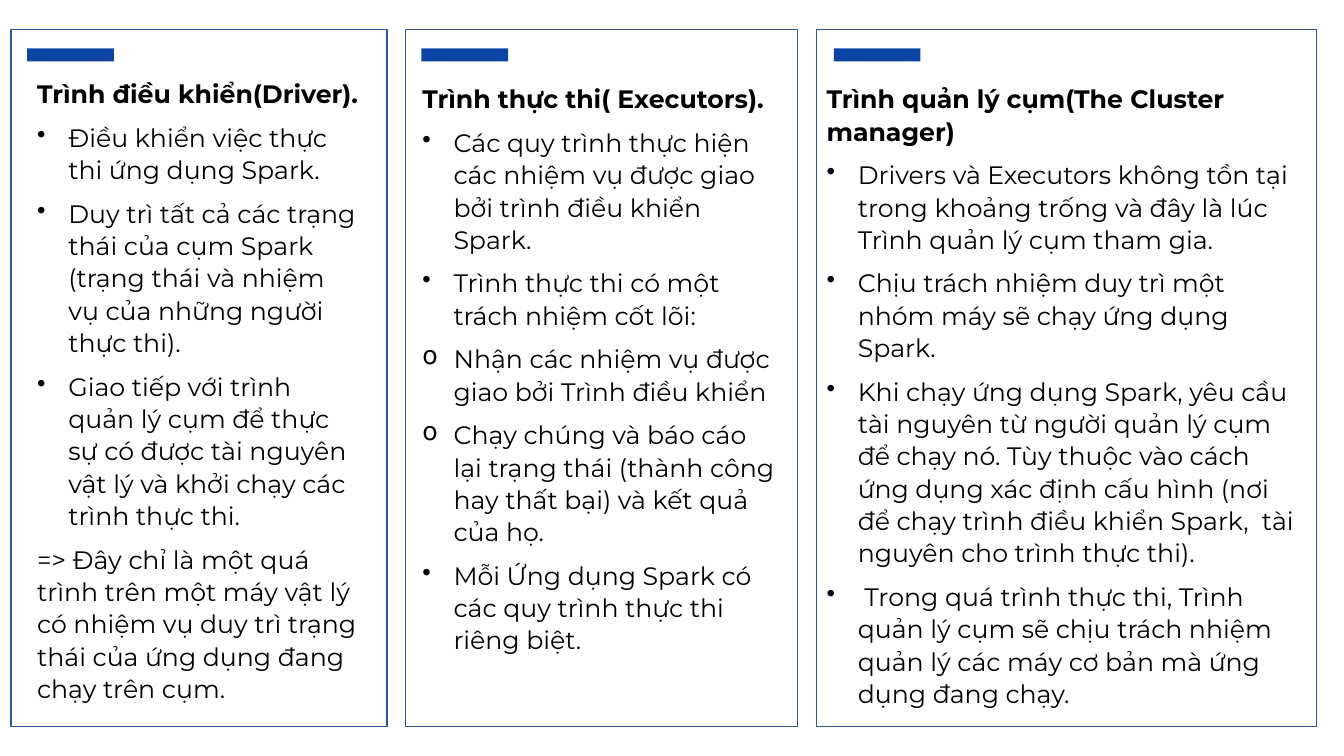
from dataclasses import dataclass

from lxml import etree
from pptx import Presentation
from pptx.dml.color import RGBColor
from pptx.enum.shapes import MSO_SHAPE
from pptx.enum.text import MSO_ANCHOR, MSO_AUTO_SIZE, PP_ALIGN
from pptx.oxml.ns import qn
from pptx.util import Inches, Pt

RECTANGLE = MSO_SHAPE.RECTANGLE
TOP = MSO_ANCHOR.TOP
GROW = MSO_AUTO_SIZE.SHAPE_TO_FIT_TEXT
LEFT = PP_ALIGN.LEFT


@dataclass(frozen=True)
class Theme:
    """Colours, type and spacing of the slide."""
    accent: RGBColor = RGBColor(0x0C, 0x45, 0xA6)
    driver_line: RGBColor = RGBColor(0x2F, 0x55, 0x97)
    line: RGBColor = RGBColor(0x32, 0x54, 0x91)
    ink: RGBColor = RGBColor(0, 0, 0)
    font: str = "Montserrat"
    size: int = 18
    line_spacing: float = 1.07
    space_after: int = 8
    indent: float = 0.31


THEME = Theme()
PANEL_TOP, PANEL_HEIGHT = 0.29, 6.92

DRIVER = [
    ("•", "Điều khiển việc thực thi ứng dụng Spark."),
    ("•", "Duy trì tất cả các trạng thái của cụm Spark (trạng thái và nhiệm vụ "
          "của những người thực thi)."),
    ("•", "Giao tiếp với trình quản lý cụm để thực sự có được tài nguyên vật lý "
          "và khởi chạy các trình thực thi."),
    (None, "=> Đây chỉ là một quá trình trên một máy vật lý có nhiệm vụ duy trì "
           "trạng thái của ứng dụng đang chạy trên cụm."),
]
EXECUTORS = [
    ("•", "Các quy trình thực hiện các nhiệm vụ được giao bởi trình điều khiển Spark."),
    ("•", "Trình thực thi có một trách nhiệm cốt lõi:"),
    ("o", "Nhận các nhiệm vụ được giao bởi Trình điều khiển"),
    ("o", "Chạy chúng và báo cáo lại trạng thái (thành công hay thất bại) "
          "và kết quả của họ."),
    ("•", "Mỗi Ứng dụng Spark có các quy trình thực thi riêng biệt."),
]
CLUSTER_MANAGER = [
    ("•", "Drivers và Executors không tồn tại trong khoảng trống và đây là lúc "
          "Trình quản lý cụm tham gia."),
    ("•", "Chịu trách nhiệm duy trì một nhóm máy sẽ chạy ứng dụng Spark."),
    ("•", "Khi chạy ứng dụng Spark, yêu cầu tài nguyên từ người quản lý cụm để "
          "chạy nó. Tùy thuộc vào cách ứng dụng xác định cấu hình (nơi để chạy "
          "trình điều khiển Spark,  tài nguyên cho trình thực thi)."),
    ("•", " Trong quá trình thực thi, Trình quản lý cụm sẽ chịu trách nhiệm quản "
          "lý các máy cơ bản mà ứng dụng đang chạy."),
]


def add_rectangle(slide, left, top, width, height, fill=None, line=None):
    """Draw a rectangle with an optional fill and outline."""
    rectangle = slide.shapes.add_shape(
        RECTANGLE, Inches(left), Inches(top), Inches(width), Inches(height))
    rectangle.shadow.inherit = False
    if fill is None:
        rectangle.fill.background()
    else:
        rectangle.fill.solid()
        rectangle.fill.fore_color.rgb = fill
    if line is None:
        rectangle.line.fill.background()
    else:
        rectangle.line.color.rgb = line
        rectangle.line.width = Pt(1)


def write_paragraph(paragraph, text, bold=False, bullet=None):
    """Fill one paragraph, with a hanging bullet if one is given."""
    paragraph.alignment = LEFT
    paragraph.line_spacing = THEME.line_spacing
    paragraph.space_after = Pt(THEME.space_after)
    if bullet:
        properties = paragraph._p.get_or_add_pPr()
        properties.set("marL", str(Inches(THEME.indent)))
        properties.set("indent", str(-Inches(THEME.indent)))
        etree.SubElement(properties, qn("a:buChar")).set("char", bullet)
    run = paragraph.add_run()
    run.text = text
    run.font.name = THEME.font
    run.font.size = Pt(THEME.size)
    run.font.bold = bold
    run.font.color.rgb = THEME.ink


def add_component(slide, left, width, heading, points, accent_dx, text_dx,
                  text_dy, text_width, text_height, line=THEME.line):
    """Place one framed component with its accent bar, heading and points."""
    add_rectangle(slide, left + accent_dx, PANEL_TOP + 0.19, 0.86, 0.13,
                  fill=THEME.accent)
    description = slide.shapes.add_textbox(
        Inches(left + text_dx), Inches(PANEL_TOP + text_dy),
        Inches(text_width), Inches(text_height))
    frame = description.text_frame
    frame.word_wrap = True
    frame.auto_size = GROW
    frame.vertical_anchor = TOP
    write_paragraph(frame.paragraphs[0], heading, bold=True)
    for bullet, point in points:
        write_paragraph(frame.add_paragraph(), point, bullet=bullet)
    add_rectangle(slide, left, PANEL_TOP, width, PANEL_HEIGHT, line=line)


def build_components_slide(deck):
    """Set the three Spark components side by side."""
    slide = deck.slides.add_slide(deck.slide_layouts[6])
    add_component(slide, 0.11, 3.73, "Trình điều khiển(Driver).", DRIVER,
                  accent_dx=0.16, text_dx=0.16, text_dy=0.42,
                  text_width=3.4, text_height=6.78, line=THEME.driver_line)
    add_component(slide, 4.02, 3.89, "Trình thực thi( Executors).", EXECUTORS,
                  accent_dx=0.16, text_dx=0.07, text_dy=0.47,
                  text_width=3.73, text_height=6.26)
    add_component(slide, 8.1, 4.96, "Trình quản lý cụm(The Cluster manager)",
                  CLUSTER_MANAGER, accent_dx=0.17, text_dx=0, text_dy=0.47,
                  text_width=4.96, text_height=6.74)


def main():
    """Build and save the deck."""
    deck = Presentation()
    deck.slide_width = Inches(13.33)
    deck.slide_height = Inches(7.5)
    build_components_slide(deck)
    deck.save("out.pptx")


if __name__ == "__main__":
    main()
